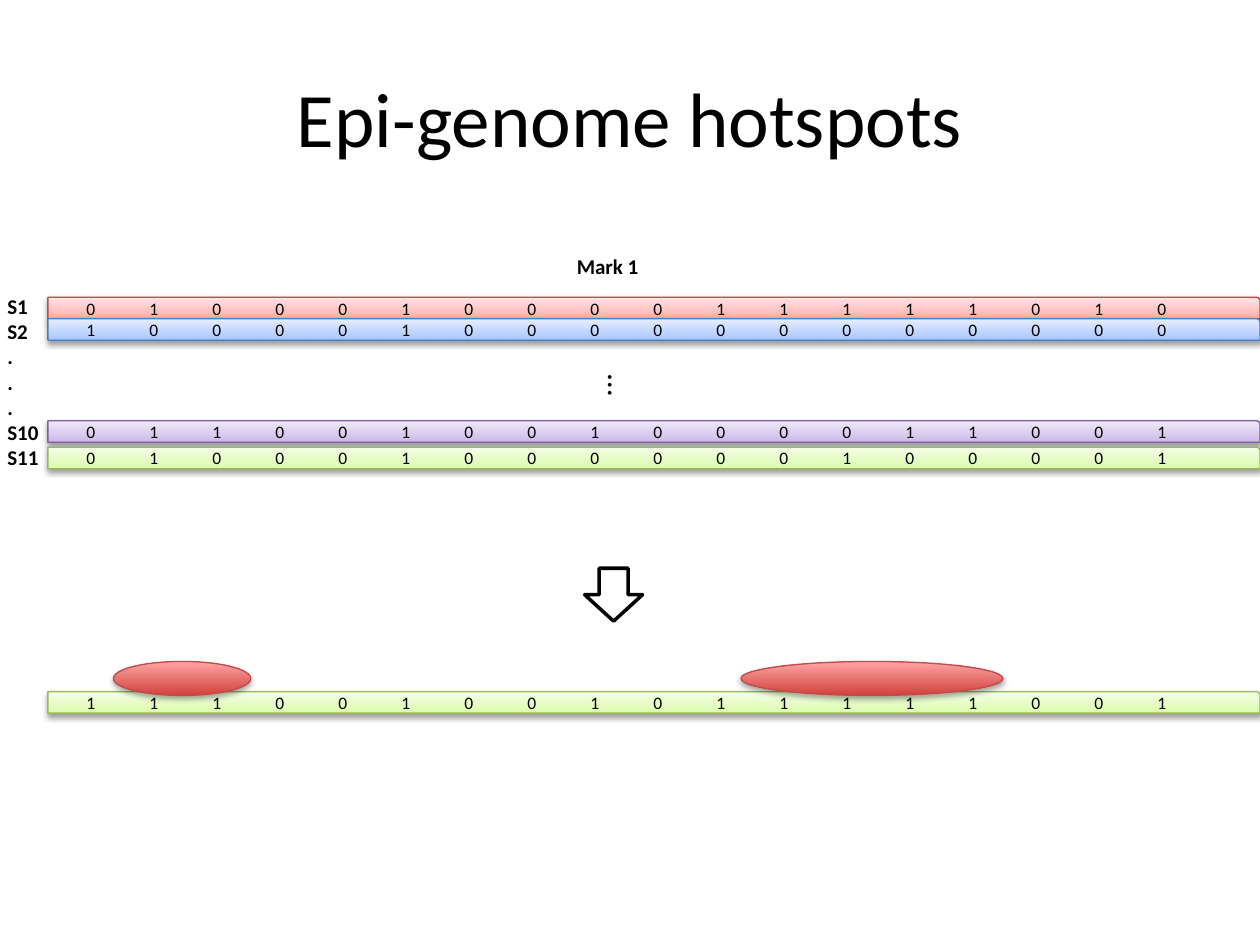
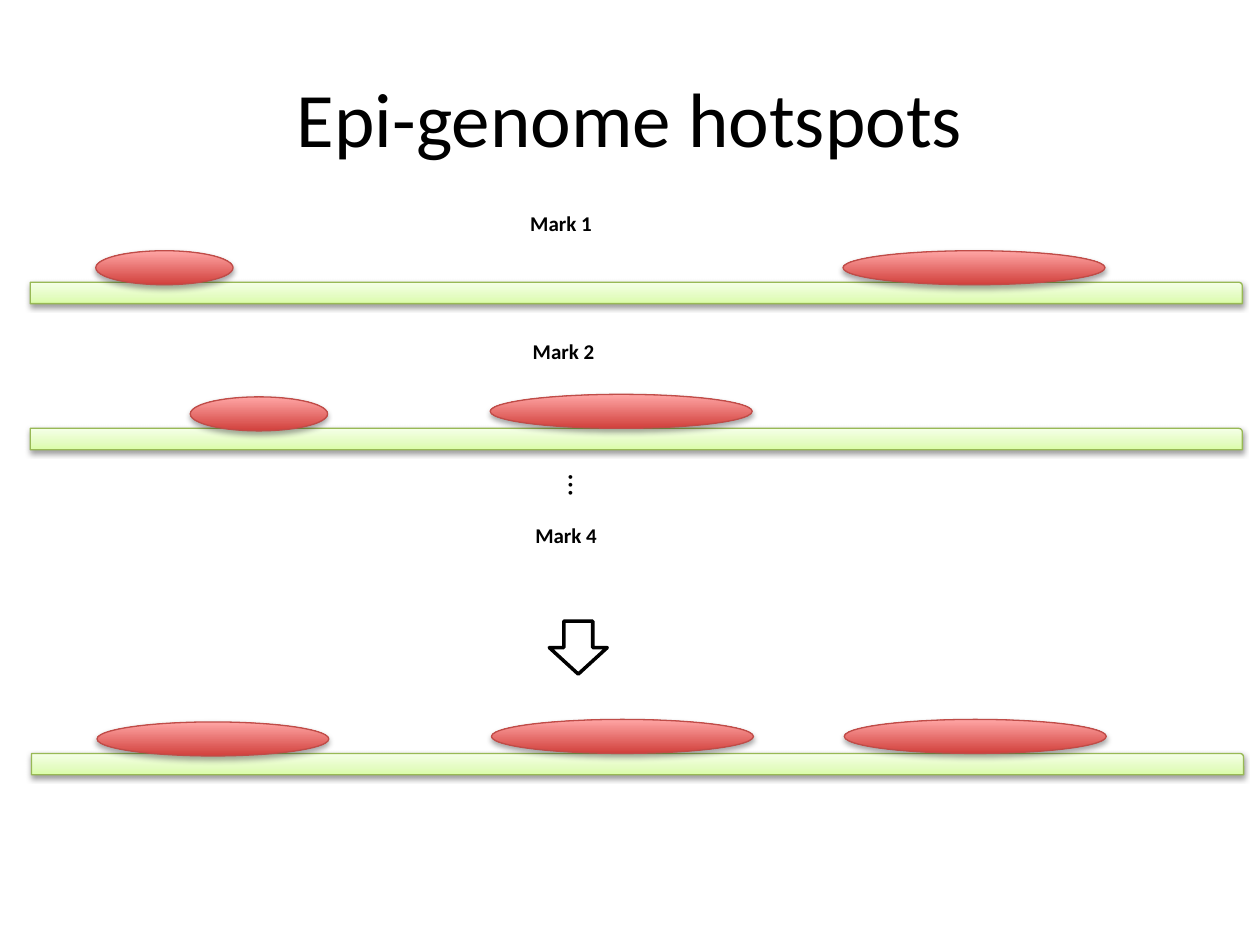
from pptx import Presentation
from pptx.dml.color import RGBColor
from pptx.enum import shapes, text
from pptx.oxml import parse_xml
from pptx.oxml.ns import nsdecls, qn
from pptx.util import Pt

PX = 9144  # EMU, 100 px to the inch
FONT = "Calibri"
BLACK = RGBColor(0x00, 0x00, 0x00)
WHITE = RGBColor(0xFF, 0xFF, 0xFF)


def palette(line, *stops):
    """Line colour and (position, colour) stops, running from bottom to top."""
    return RGBColor.from_string(line), [(at, RGBColor.from_string(c)) for at, c in stops]


RED = palette("BF4C48", (0, "FFA6A5"), (35, "FFC0BF"), (100, "FFE7E7"))
BLUE = palette("4B7EBC", (0, "A4C4FF"), (35, "BFD4FF"), (100, "E6EEFF"))
PURPLE = palette("7D60A0", (0, "C9B5E8"), (35, "D8CBEE"), (100, "F0EAF9"))
GREEN = palette("98B955", (0, "DAFDA7"), (35, "E4FCC2"), (100, "F5FFE7"))
HOTSPOT = palette("BF4C48", (0, "D1403C"), (100, "FFA6A5"))

TITLE = "Epi-genome hotspots"
TITLE_BOX = (50, 30, 900, 125)
TRACK_W, TRACK_H, SPOT_H = 962, 17, 27
SHORT, MEDIUM, LONG = 109, 184, 208  # hotspot widths


def emu(*lengths):
    return [n * PX for n in lengths]


def style_runs(tf, align, **font):
    for p in tf.paragraphs:
        p.alignment = align
        for r in p.runs:
            for name, value in {"name": FONT, **font}.items():
                setattr(r.font, name, value)
            r.font.color.rgb = BLACK


def add_title_slide(prs):
    slide = prs.slides.add_slide(prs.slide_layouts[5])
    title = slide.shapes.title
    title.left, title.top, title.width, title.height = emu(*TITLE_BOX)
    title.text_frame.text = TITLE
    title.text_frame.vertical_anchor = text.MSO_ANCHOR.MIDDLE
    style_runs(title.text_frame, text.PP_ALIGN.CENTER, size=Pt(44))
    return slide


def add_glossy(slide, kind, box, colours, alpha, dist):
    """Shape with an upward gradient and a soft shadow below it."""
    sp = slide.shapes.add_shape(kind, *emu(*box))
    line, stops = colours
    sp.line.color.rgb = line
    sp.line.width = Pt(0.75)
    sp.fill.gradient()
    sp.fill.gradient_angle = 90
    props = sp._element.spPr
    stop_list = props.find(".//" + qn("a:gsLst"))
    for gs in list(stop_list):
        stop_list.remove(gs)
    for at, colour in stops:
        stop_list.append(parse_xml(
            f'<a:gs {nsdecls("a")} pos="{at * 1000}"><a:srgbClr val="{colour}"/></a:gs>'))
    sp.shadow.inherit = False
    props.find(qn("a:effectLst")).append(parse_xml(
        f'<a:outerShdw {nsdecls("a")} blurRad="40000" dist="{dist}" dir="5400000" '
        f'rotWithShape="0"><a:srgbClr val="000000"><a:alpha val="{alpha * 1000}"/>'
        '</a:srgbClr></a:outerShdw>'))
    return sp


def add_track(slide, left, top, colours=GREEN, marks="", spots=()):
    """Genome bar with 0/1 marks; spots are (dx, dy, width) from its corner."""
    bar = add_glossy(slide, shapes.MSO_SHAPE.ROUND_1_RECTANGLE,
                     (left, top, TRACK_W, TRACK_H), colours, 38, 20000)
    if marks:
        tf = bar.text_frame
        tf.text = "".join(mark + "\t" for mark in marks)
        tf.vertical_anchor = text.MSO_ANCHOR.MIDDLE
        style_runs(tf, text.PP_ALIGN.CENTER, size=Pt(10))
    for dx, dy, width in spots:
        add_glossy(slide, shapes.MSO_SHAPE.OVAL,
                   (left + dx, top + dy, width, SPOT_H), HOTSPOT, 35, 23000)


def add_label(slide, box, words, align=text.PP_ALIGN.LEFT, size=12, bold=True):
    label = slide.shapes.add_textbox(*emu(*box))
    tf = label.text_frame
    tf.text = words
    tf.word_wrap = False
    tf.auto_size = text.MSO_AUTO_SIZE.SHAPE_TO_FIT_TEXT
    style_runs(tf, align, size=Pt(size), bold=bold)
    return label


def add_ellipsis(slide, left, top):
    dots = add_label(slide, (left, top, 45, 40), "…", text.PP_ALIGN.CENTER, 18, False)
    dots.text_frame.vertical_anchor = text.MSO_ANCHOR.MIDDLE
    dots.rotation = 90


def add_down_arrow(slide, left, top):
    arrow = slide.shapes.add_shape(shapes.MSO_SHAPE.DOWN_ARROW, *emu(left, top, 46, 42))
    arrow.shadow.inherit = False
    arrow.fill.solid()
    arrow.fill.fore_color.rgb = WHITE
    arrow.line.color.rgb = BLACK
    arrow.line.width = Pt(2)


def build_samples_slide(prs):
    slide = add_title_slide(prs)
    left = 38
    for top, colours, marks in (
        (236, RED, "010001000011111010"),
        (253, BLUE, "100001000000000000"),
        (334, PURPLE, "011001001000011001"),
        (355, GREEN, "010001000000100001"),
    ):
        add_track(slide, left, top, colours, marks)
    add_ellipsis(slide, 470, 286)
    add_label(slide, (-4, 228, 50, 151), "\n".join(["S1", "S2", ".", ".", ".", "S10", "S11"]))
    add_label(slide, (448, 196, 74, 30), "Mark 1")
    add_track(slide, left, 549, GREEN, "111001001011111001",
              [(52, -24, SHORT), (550, -24, LONG)])
    add_down_arrow(slide, 464, 451)


def build_marks_slide(prs):
    slide = add_title_slide(prs)
    for left, top, spots in (
        (24, 224, [(52, -25, SHORT), (645, -25, LONG)]),
        (24, 340, [(127, -25, SHORT), (365, -27, LONG)]),
        (25, 598, [(52, -25, MEDIUM), (365, -27, LONG), (645, -27, LONG)]),
    ):
        add_track(slide, left, top, spots=spots)
    for left, top, width, words in (
        (411, 162, 74, "Mark 1"), (413, 264, 70, "Mark 2"), (415, 410, 70, "Mark 4"),
    ):
        add_label(slide, (left, top, width, 30), words)
    add_ellipsis(slide, 439, 365)
    add_down_arrow(slide, 436, 493)


def main():
    prs = Presentation()
    prs.slide_width, prs.slide_height = emu(1000, 750)
    build_samples_slide(prs)
    build_marks_slide(prs)
    prs.save("out.pptx")


if __name__ == "__main__":
    main()
